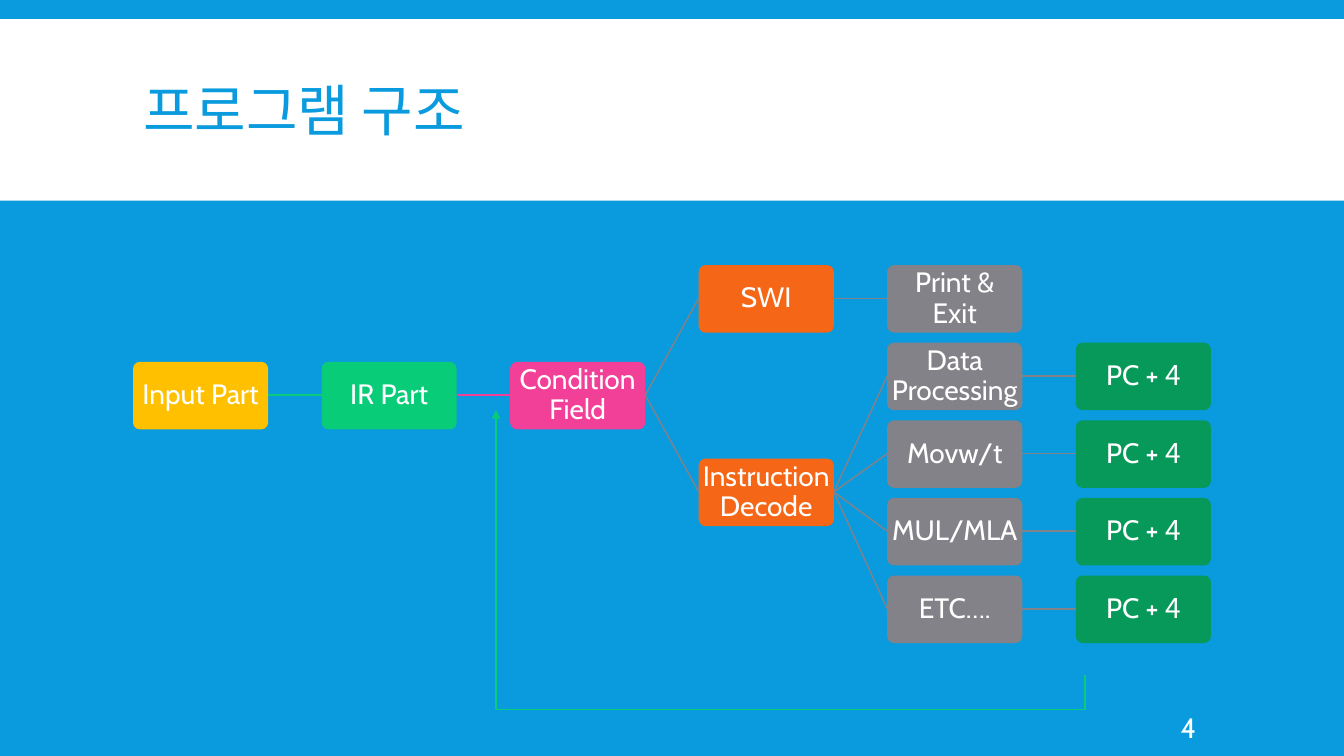
from lxml import etree
from pptx import Presentation
from pptx.dml.color import RGBColor
from pptx.enum.dml import MSO_THEME_COLOR
from pptx.enum.shapes import MSO_CONNECTOR, MSO_SHAPE
from pptx.enum.text import MSO_ANCHOR, MSO_AUTO_SIZE, PP_ALIGN
from pptx.oxml.ns import qn
from pptx.util import Pt

ROUND, RECT = MSO_SHAPE.ROUNDED_RECTANGLE, MSO_SHAPE.RECTANGLE
LINE, BENT = MSO_CONNECTOR.STRAIGHT, MSO_CONNECTOR.ELBOW
LEFT, CENTER = PP_ALIGN.LEFT, PP_ALIGN.CENTER
MIDDLE = MSO_ANCHOR.MIDDLE
NO_FIT = MSO_AUTO_SIZE.NONE

BLUE = RGBColor(0x09, 0x9B, 0xDD)
WHITE = RGBColor(0xFF, 0xFF, 0xFF)
GOLD = RGBColor(0xFF, 0xC0, 0x00)
GREEN = RGBColor(0x08, 0xCC, 0x78)
PINK = RGBColor(0xF2, 0x40, 0x99)
ORANGE = RGBColor(0xF5, 0x66, 0x17)
GREY = RGBColor(0x82, 0x82, 0x88)
FOREST = RGBColor(0x06, 0x99, 0x5A)

FONT, DIGIT = "Cabin", "Noto Sans CJK KR"
BOX_W, BOX_H = 134, 67
COL_X, COL_STEP = 132, 187
ROW_Y, ROW_STEP = 263, 77
MID_Y, LOW_Y = 359, 455


def px(n):
    return n * 9144


class Deck:
    def __init__(self):
        self.prs = Presentation()
        self.prs.slide_width, self.prs.slide_height = px(1333), px(750)
        self.slide = self.prs.slides.add_slide(self.prs.slide_layouts[5])
        self.shapes = self.slide.shapes
        fill = self.slide.background.fill
        fill.solid()
        fill.fore_color.rgb = BLUE

    def style(self, frame, runs, size, color, align, gap):
        frame.word_wrap = True
        frame.auto_size = NO_FIT
        frame.vertical_anchor = MIDDLE
        para = frame.paragraphs[0]
        para.alignment = align
        para.line_spacing = gap
        font = para.font
        font.name, font.size = FONT, Pt(size)
        font.color.rgb = color
        for text, name in runs:
            run = para.add_run()
            run.text = text
            if name:
                run.font.name = name

    def title(self, text, x, y, w, h):
        title = self.shapes.title
        title.left, title.top, title.width, title.height = map(px, (x, y, w, h))
        self.style(title.text_frame, [(text, None)], 40, BLUE, LEFT, 0.85)

    def shape(self, kind, x, y, w, h, color):
        shape = self.shapes.add_shape(kind, *map(px, (x, y, w, h)))
        shape.shadow.inherit = False
        shape.fill.solid()
        shape.fill.fore_color.rgb = color
        shape.line.fill.background()
        return shape

    def band(self, x, y, w, h):
        band = self.shape(RECT, x, y, w, h, WHITE)
        self.shapes.element.insert(2, band.element)

    def box(self, col, y, runs, color):
        """Draw a labelled box and return its left and centre line."""
        x = COL_X + col * COL_STEP
        box = self.shape(ROUND, x, y, BOX_W, BOX_H, color)
        box.adjustments[0] = 0.1
        frame = box.text_frame
        frame.margin_left = frame.margin_right = px(2)
        frame.margin_top = frame.margin_bottom = px(1)
        self.style(frame, runs, 20, WHITE, CENTER, 0.9)
        return x, y + BOX_H // 2

    def link(self, start, end, color):
        self.line(LINE, start[0] + BOX_W, start[1], *end, color)

    def line(self, kind, x1, y1, x2, y2, color):
        line = self.shapes.add_connector(kind, *map(px, (x1, y1, x2, y2)))
        line.line.color.rgb = color
        line.line.width = Pt(1)
        etree.SubElement(line.element.spPr, qn("a:effectLst"))
        return line

    def arrow(self, x1, y1, x2, y2, color):
        """Run along the bottom, then turn up at the far end."""
        line = self.line(BENT, x1, y1, x2, y2, color)
        guides = line.element.spPr.find(qn("a:prstGeom")).find(qn("a:avLst"))
        etree.SubElement(guides, qn("a:gd"), name="adj1", fmla="val 100000")
        stroke = line.element.spPr.find(qn("a:ln"))
        etree.SubElement(stroke, qn("a:tailEnd"), type="triangle")

    def text(self, text, x, y, w, h):
        frame = self.shapes.add_textbox(*map(px, (x, y, w, h))).text_frame
        frame.margin_left = frame.margin_top = frame.margin_bottom = px(5)
        self.style(frame, [(text, None)], 20, WHITE, LEFT, 1.0)


def main():
    deck = Deck()

    # Header
    deck.band(0, 19, 1333, 180)
    deck.title("프로그램 구조", 132, 31, 1070, 165)

    # Main chain
    entry = deck.box(0, MID_Y, [("Input Part", None)], GOLD)
    fetch = deck.box(1, MID_Y, [("IR Part", None)], GREEN)
    check = deck.box(2, MID_Y, [("Condition Field", None)], PINK)
    deck.link(entry, fetch, GREEN)
    deck.link(fetch, check, PINK)

    # Two branches
    swi = deck.box(3, ROW_Y, [("SWI", None)], ORANGE)
    decode = deck.box(3, LOW_Y, [("Instruction Decode", None)], ORANGE)
    for branch in (swi, decode):
        deck.link(check, branch, GREY)

    # Operations, each decoded one followed by a step of the counter
    names = ["Print & Exit", "Data Processing", "Movw/t", "MUL/MLA", "ETC…."]
    for row, name in enumerate(names):
        y = ROW_Y + row * ROW_STEP
        task = deck.box(4, y, [(name, None)], GREY)
        deck.link(decode if row else swi, task, GREY)
        if row:
            step = deck.box(5, y, [("PC + ", None), ("4", DIGIT)], FOREST)
            deck.link(task, step, GREY)

    # Loop back to the condition
    deck.arrow(1076, 704, 492, 407, GREEN)
    deck.line(LINE, 1076, 670, 1076, 704, GREEN)

    # Page number
    deck.text("4", 1166, 702, 103, 40)

    deck.prs.save("out.pptx")


if __name__ == "__main__":
    main()
